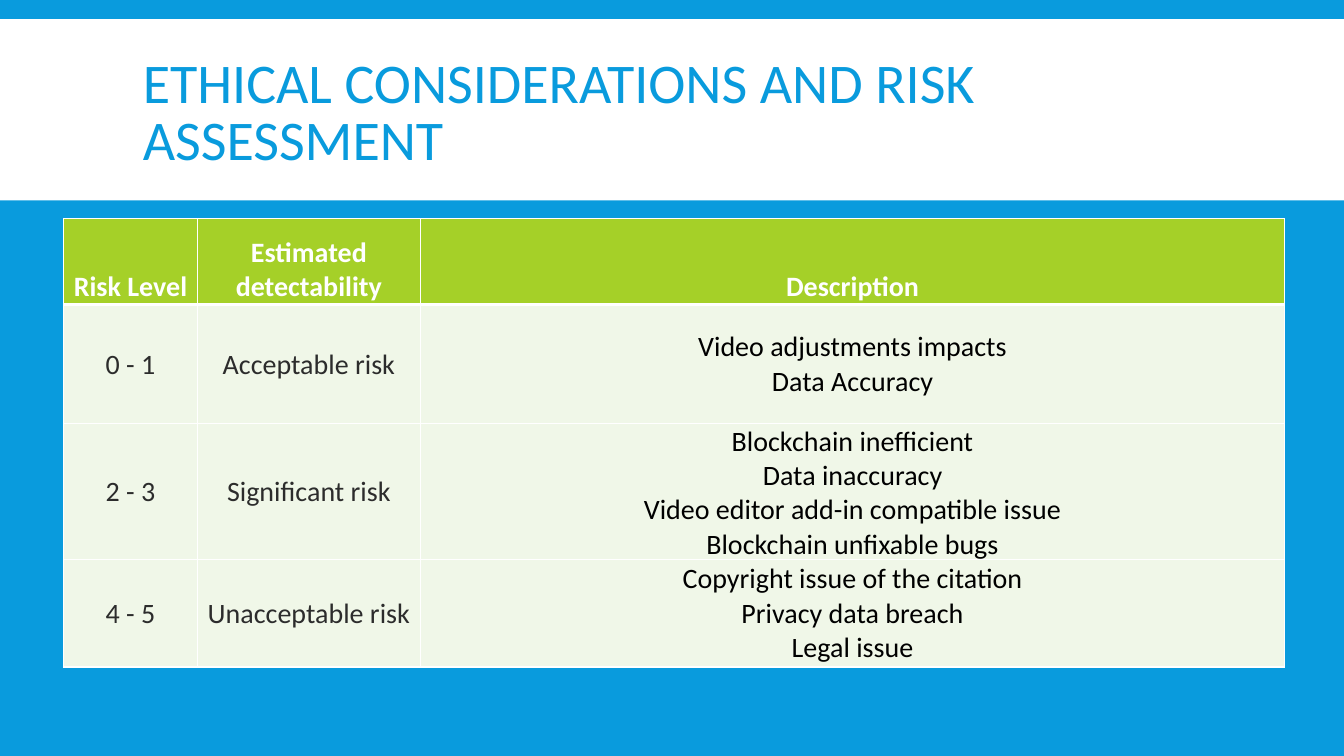
import lxml.etree
import pptx
import pptx.dml.color
import pptx.enum.shapes
import pptx.enum.text
import pptx.oxml.ns
import pptx.util

Cm, Pt = pptx.util.Cm, pptx.util.Pt
ANCHOR = pptx.enum.text.MSO_ANCHOR
ALIGN = pptx.enum.text.PP_ALIGN
FONT = "Calibri"
COLORS = {
    "blue": "099BDD",
    "white": "FFFFFF",
    "green": "A5D028",
    "pale": "F0F7E8",
    "gray": "2C2C2C",
    "black": "000000",
}
HEADERS = ["Risk Level", "Estimated detectability", "Description"]
RISKS = [
    ["0 - 1", "Acceptable risk", "Video adjustments impacts\nData Accuracy"],
    ["2 - 3", "Significant risk",
     "Blockchain inefficient\nData inaccuracy\n"
     "Video editor add-in compatible issue\nBlockchain unfixable bugs"],
    ["4 - 5", "Unacceptable risk",
     "Copyright issue of the citation\nPrivacy data breach\nLegal issue"],
]
COLUMN_WIDTHS = [3.38, 5.61, 21.79]
ROW_HEIGHTS = [2.16, 3, 3.25, 2.72]


def color(name):
    return pptx.dml.color.RGBColor.from_string(COLORS[name])


def paint(target, name):
    target.fill.solid()
    target.fill.fore_color.rgb = color(name)


def format_text(frame, size, name, bold=False, align=ALIGN.LEFT):
    for para in frame.paragraphs:
        para.alignment = align
        for span in para.runs:
            span.font.name = FONT
            span.font.size = Pt(size)
            span.font.bold = bold
            span.font.color.rgb = color(name)


def add_border(cell, widths):
    """Draw white cell edges; widths are points by side, in schema order."""
    properties = cell._tc.get_or_add_tcPr()
    for index, (side, width) in enumerate(widths.items()):
        line = lxml.etree.Element(pptx.oxml.ns.qn("a:ln" + side), w=str(Pt(width)))
        fill = lxml.etree.SubElement(line, pptx.oxml.ns.qn("a:solidFill"))
        lxml.etree.SubElement(fill, pptx.oxml.ns.qn("a:srgbClr"), val=COLORS["white"])
        properties.insert(index, line)


def add_title_band(page, left, top, width, height):
    # White band across the page
    band = page.shapes.add_shape(
        pptx.enum.shapes.MSO_SHAPE.RECTANGLE, Cm(left), Cm(top), Cm(width), Cm(height))
    band.shadow.inherit = False
    paint(band, "white")
    band.line.fill.background()

    # Title inside the band
    box = page.shapes.add_textbox(
        Cm(left + 3.35), Cm(top + 0.31), Cm(width - 6.69), Cm(height - 0.38))
    frame = box.text_frame
    frame.word_wrap = True
    frame.vertical_anchor = ANCHOR.MIDDLE
    frame.text = "ETHICAL CONSIDERATIONS AND RISK ASSESSMENT"
    frame.paragraphs[0].line_spacing = 0.85
    format_text(frame, 40, "blue")


def add_risk_table(page, left, top, width, height):
    rows = [HEADERS] + RISKS
    table = page.shapes.add_table(
        len(rows), len(HEADERS), Cm(left), Cm(top), Cm(width), Cm(height)).table
    for column, share in zip(table.columns, COLUMN_WIDTHS):
        column.width = Cm(width * share / sum(COLUMN_WIDTHS))
    for row, share in zip(table.rows, ROW_HEIGHTS):
        row.height = Cm(height * share / sum(ROW_HEIGHTS))

    for row_index, row in enumerate(rows):
        header = row_index == 0
        for column_index, text in enumerate(row):
            cell = table.cell(row_index, column_index)
            cell.margin_left = cell.margin_right = cell.margin_top = Cm(0.03)
            cell.margin_bottom = 0
            cell.vertical_anchor = ANCHOR.BOTTOM if header else ANCHOR.MIDDLE
            cell.text_frame.text = text
            description = column_index == len(HEADERS) - 1
            ink = "white" if header else "black" if description else "gray"
            format_text(cell.text_frame, 20, ink, header, ALIGN.CENTER)
            paint(cell, "green" if header else "pale")
            add_border(cell, {"L": 1, "R": 1, "T": 3 if row_index == 1 else 1,
                              "B": 3 if header else 1})


deck = pptx.Presentation()
deck.slide_width, deck.slide_height = Cm(33.87), Cm(19.05)
page = deck.slides.add_slide(deck.slide_layouts[6])
paint(page.background, "blue")
add_title_band(page, 0, 0.48, 33.87, 4.57)
add_risk_table(page, 1.6, 5.51, 30.78, 11.13)
deck.save("out.pptx")
